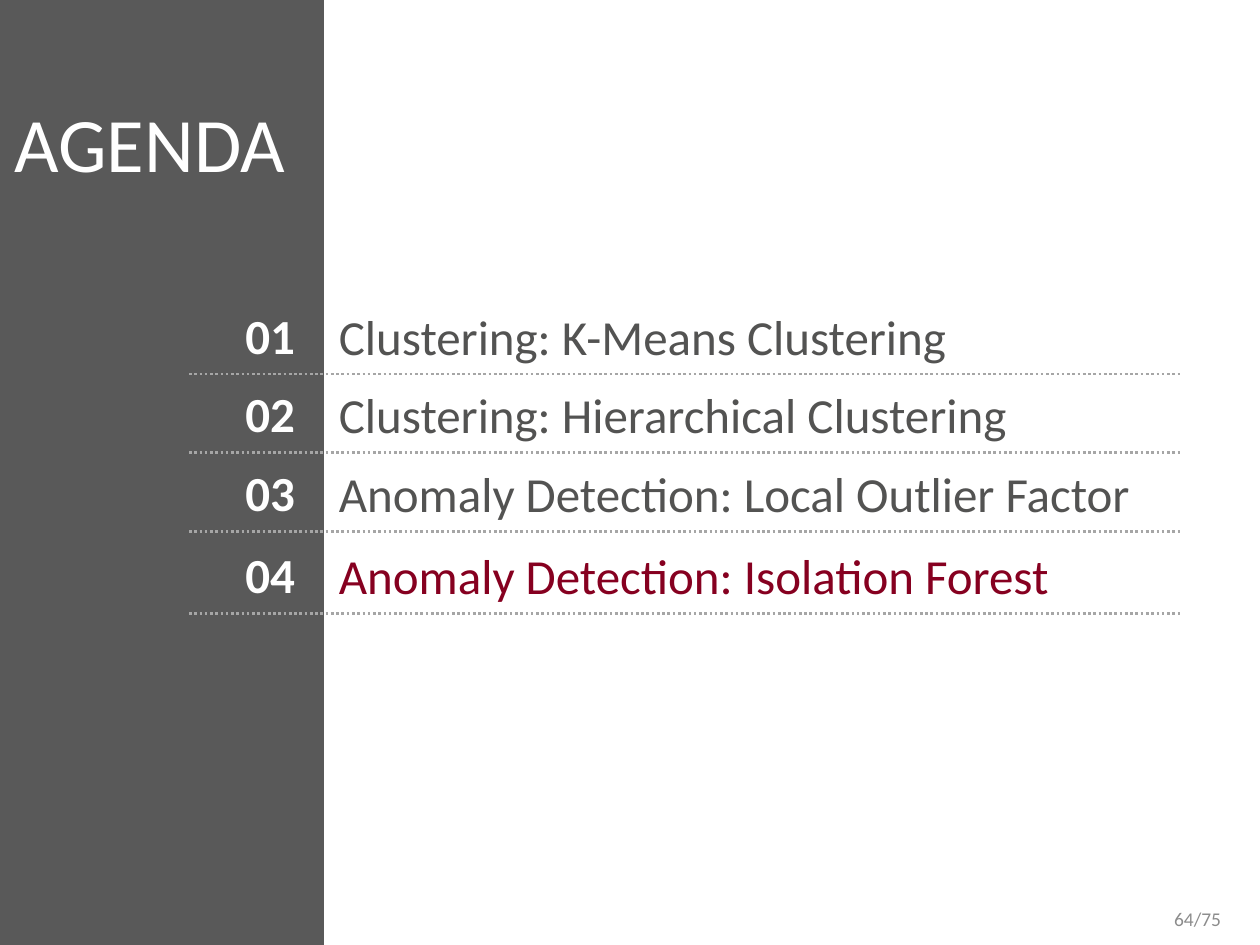
import dataclasses

import lxml.etree
import pptx
import pptx.dml.color
import pptx.enum.dml
import pptx.enum.shapes
import pptx.enum.text
import pptx.oxml
import pptx.oxml.ns
import pptx.util

Inches = pptx.util.Inches
ALIGN = pptx.enum.text.PP_ALIGN
ANCHOR = pptx.enum.text.MSO_ANCHOR


@dataclasses.dataclass(frozen=True)
class Theme:
    font: str = "Calibri"
    panel: str = "595959"
    light: str = "FFFFFF"
    text: str = "535352"
    accent: str = "860020"
    rule: str = "A6A6A6"
    muted: str = "8C8C8C"
    title_size: float = 44
    item_size: float = 28
    page_size: float = 11.1


@dataclasses.dataclass(frozen=True)
class AgendaItem:
    number: str
    label: str
    top: float
    width: float
    color: str


THEME = Theme()
ITEMS = [
    AgendaItem("01", "Clustering: K-Means Clustering", 2.37, 5.67, THEME.text),
    AgendaItem("02", "Clustering: Hierarchical Clustering", 2.99, 6.88, THEME.text),
    AgendaItem("03", "Anomaly Detection: Local Outlier Factor", 3.62, 6.69, THEME.text),
    AgendaItem("04", "Anomaly Detection: Isolation Forest", 4.27, 6.69, THEME.accent),
]


def rgb(color: str) -> pptx.dml.color.RGBColor:
    return pptx.dml.color.RGBColor.from_string(color)


def place(sp, left: float, top: float, width: float, height: float) -> None:
    sp.left, sp.top = Inches(left), Inches(top)
    sp.width, sp.height = Inches(width), Inches(height)


def write(sp, text: str, *, size: float, color: str, bold: bool = False,
          align=ALIGN.LEFT, anchor=ANCHOR.MIDDLE,
          insets: tuple = (0.1, 0.05, 0.1, 0.05)) -> None:
    tf = sp.text_frame
    tf.word_wrap = True
    tf.auto_size = pptx.enum.text.MSO_AUTO_SIZE.NONE
    tf.vertical_anchor = anchor
    tf.margin_left, tf.margin_top, tf.margin_right, tf.margin_bottom = map(Inches, insets)
    p = tf.paragraphs[0]
    p.alignment = align
    p.space_before = pptx.util.Pt(0)
    if sp.is_placeholder:
        pPr = p._p.get_or_add_pPr()
        pPr.set("marL", "0")
        pPr.set("indent", "0")
        lxml.etree.SubElement(pPr, pptx.oxml.ns.qn("a:buNone"))
    r = p.add_run()
    r.text = text
    r.font.name = THEME.font
    r.font.size = pptx.util.Pt(size)
    r.font.bold = bold
    r.font.color.rgb = rgb(color)


def add_panel(s) -> None:
    sp = s.shapes.add_shape(pptx.enum.shapes.MSO_SHAPE.RECTANGLE,
                            Inches(-0.42), 0, Inches(2.99), Inches(7.5))
    sp.shadow.inherit = False
    sp.fill.solid()
    sp.fill.fore_color.rgb = rgb(THEME.panel)
    sp.line.fill.background()
    s.shapes._spTree.insert(2, sp._element)


def add_rule(s, y: float) -> None:
    line = s.shapes.add_connector(pptx.enum.shapes.MSO_CONNECTOR.STRAIGHT,
                                  Inches(1.5), Inches(y), Inches(9.38), Inches(y))
    line.line.color.rgb = rgb(THEME.rule)
    line.line.width = pptx.util.Pt(1.5)
    line.line.dash_style = pptx.enum.dml.MSO_LINE.ROUND_DOT
    lxml.etree.SubElement(line._element.spPr, pptx.oxml.ns.qn("a:effectLst"))


def add_item(s, body, item: AgendaItem) -> None:
    number = s.shapes.add_textbox(0, 0, 0, 0)
    place(number, 1.34, item.top, 1.1, 0.57)
    write(number, item.number, size=THEME.item_size, color=THEME.light,
          bold=True, align=ALIGN.RIGHT)
    place(body, 2.69, item.top + 0.1, item.width, 0.39)
    write(body, item.label, size=THEME.item_size, color=item.color,
          insets=(0, 0.05, 0.1, 0.05))
    add_rule(s, item.top + 0.6)


def main() -> None:
    prs = pptx.Presentation()
    prs.slide_width, prs.slide_height = Inches(10), Inches(7.5)
    s = prs.slides.add_slide(prs.slide_layouts.get_by_name("Comparison"))
    add_panel(s)

    title, *bodies = s.placeholders
    place(title, -0.29, 0.76, 2.96, 0.74)
    write(title, "AGENDA", size=THEME.title_size, color=THEME.light,
          align=ALIGN.CENTER, anchor=ANCHOR.TOP, insets=(0, 0, 0, 0))

    for body, item in zip(bodies, ITEMS):
        add_item(s, body, item)

    page = s.shapes.add_textbox(0, 0, 0, 0)
    place(page, 7.54, 7.14, 2.25, 0.3)
    write(page, "64/75", size=THEME.page_size, color=THEME.muted, align=ALIGN.RIGHT)
    prs.save("out.pptx")


if __name__ == "__main__":
    main()
